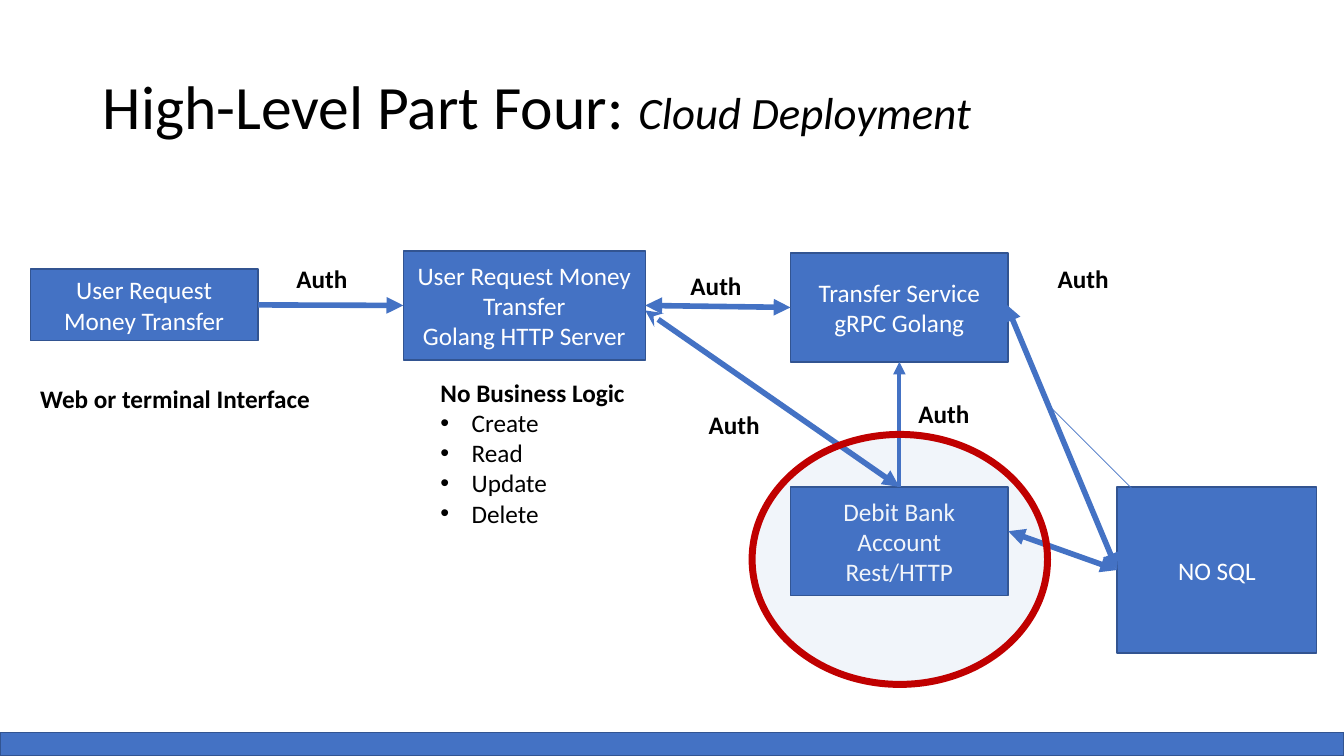
from dataclasses import dataclass
from typing import Any, Optional

import pptx
import pptx.dml.color
import pptx.enum.shapes
import pptx.enum.text
import pptx.oxml
import pptx.oxml.ns
import pptx.util

PX = 9144  # EMU in one px, 100 px to the inch
HEX = {"blue": "4472C4", "edge": "325491", "red": "C00000", "white": "FFFFFF", "black": "000000"}
BODY = {"name": "Calibri", "size": pptx.util.Pt(18), "bold": False, "italic": False}
BOLD = {**BODY, "bold": True}
HEAD = {**BODY, "size": pptx.util.Pt(44)}
SUB = {**BODY, "size": pptx.util.Pt(32), "italic": True}
KIND = pptx.enum.shapes.MSO_SHAPE
ALIGN = pptx.enum.text.PP_ALIGN


@dataclass
class Box:
    key: str
    x: int
    y: int
    w: int
    h: int
    lines: tuple[str, ...] = ()


@dataclass
class Label:
    x: int
    y: int
    w: int
    h: int
    text: str
    items: tuple[str, ...] = ()


@dataclass
class Link:
    start: tuple[int, int]
    end: tuple[int, int]
    width: float = 4
    head: Optional[str] = "triangle"
    tail: str = "triangle"
    tie: Optional[tuple[str, int]] = None  # box and side at the start
    join: Optional[tuple[str, int]] = None  # box and side at the end


BOXES = [
    Box("bar", 0, 727, 1333, 23),
    Box("user", 30, 267, 226, 71, ("User Request Money Transfer",)),
    Box("server", 400, 249, 240, 108, ("User Request Money Transfer", "Golang HTTP Server")),
    Box("transfer", 784, 251, 216, 108, ("Transfer Service", "gRPC Golang")),
    Box("debit", 784, 483, 216, 108, ("Debit Bank Account", "Rest/HTTP")),
    Box("store", 1108, 483, 198, 165, ("NO SQL",)),
]
LINKS = [
    Link((256, 302), (400, 304), head=None, tie=("user", 3), join=("server", 1)),
    Link((640, 304), (784, 306), tie=("server", 3), join=("transfer", 1)),
    Link((892, 483), (892, 360), 3, None, tie=("debit", 0), join=("transfer", 2)),
    Link((640, 308), (892, 483), head="stealth", join=("debit", 0)),
    Link((998, 302), (1108, 566), join=("store", 1)),
    Link((1039, 401), (1139, 501), 0.5, None),
    Link((1000, 527), (1108, 566), join=("store", 1)),
]
AUTHS = [(284, 256), (901, 390), (693, 401), (1039, 256), (675, 263)]
LABELS = [
    Label(30, 375, 290, 40, "Web or terminal Interface"),
    Label(427, 369, 205, 222, "No Business Logic", ("Create", "Read", "Update", "Delete")),
    *(Label(x, y, 71, 40, "Auth") for x, y in AUTHS),
]


def px(*sizes: int) -> list[int]:
    return [size * PX for size in sizes]


def tint(name: str) -> pptx.dml.color.RGBColor:
    return pptx.dml.color.RGBColor.from_string(HEX[name])


def write(para: Any, text: str, style: dict[str, Any], hue: str = "black") -> None:
    run = para.add_run()
    run.text = text
    for key, value in style.items():
        setattr(run.font, key, value)
    run.font.color.rgb = tint(hue)


def put(shapes: Any, kind: Any, box: Box, edge: str = "edge", width: float = 1) -> Any:
    shape = shapes.add_shape(kind, *px(box.x, box.y, box.w, box.h))
    shape.shadow.inherit = False
    shape.fill.solid()
    shape.fill.fore_color.rgb = tint("blue")
    shape.line.color.rgb = tint(edge)
    shape.line.width = pptx.util.Pt(width)
    frame = shape.text_frame
    for i, line in enumerate(box.lines):
        para = frame.add_paragraph() if i else frame.paragraphs[0]
        para.alignment = ALIGN.CENTER
        write(para, line, BODY, "white")
    return shape


def bullet(para: Any) -> None:
    props = para._p.get_or_add_pPr()
    props.set("marL", str(31 * PX))
    props.set("indent", str(-31 * PX))
    for tag, key, value in (("a:buFont", "typeface", "Arial"), ("a:buChar", "char", "•")):
        mark = pptx.oxml.ns.qn(tag)
        props.append(props.makeelement(mark, {key: value}))


def note(shapes: Any, label: Label) -> None:
    frame = shapes.add_textbox(*px(label.x, label.y, label.w, label.h)).text_frame
    frame.word_wrap = False
    frame.auto_size = pptx.enum.text.MSO_AUTO_SIZE.SHAPE_TO_FIT_TEXT
    write(frame.paragraphs[0], label.text, BOLD)
    for item in label.items:
        para = frame.add_paragraph()
        bullet(para)
        write(para, item, BODY)


def join(shapes: Any, link: Link, made: dict[str, Any]) -> None:
    kind = pptx.enum.shapes.MSO_CONNECTOR.STRAIGHT
    line = shapes.add_connector(kind, *px(*link.start, *link.end))
    if link.tie:
        line.begin_connect(made[link.tie[0]], link.tie[1])
    if link.join:
        line.end_connect(made[link.join[0]], link.join[1])
    line.line.color.rgb = tint("blue")
    line.line.width = pptx.util.Pt(link.width)
    props = line._element.spPr
    stroke = line.line._get_or_add_ln()
    for tag, tip in (("a:headEnd", link.head), ("a:tailEnd", link.tail)):
        if tip:
            stroke.append(stroke.makeelement(pptx.oxml.ns.qn(tag), {"type": tip}))
    props.append(props.makeelement(pptx.oxml.ns.qn("a:effectLst"), {}))


def main() -> None:
    deck = pptx.Presentation()
    deck.slide_width, deck.slide_height = px(1333, 750)
    shapes = deck.slides.add_slide(deck.slide_layouts[6]).shapes

    # Title
    title = shapes.add_textbox(*px(92, 36, 1150, 145)).text_frame
    title.word_wrap = True
    title.vertical_anchor = pptx.enum.text.MSO_ANCHOR.MIDDLE
    para = title.paragraphs[0]
    para.line_spacing = 0.9
    write(para, "High-Level Part Four: ", HEAD)
    write(para, "Cloud Deployment", SUB)

    # Services, links and labels
    made = {box.key: put(shapes, KIND.RECTANGLE, box) for box in BOXES}
    for link in LINKS:
        join(shapes, link, made)
    for label in LABELS:
        note(shapes, label)

    # Ring round the debit service, with a faint fill
    ring = put(shapes, KIND.OVAL, Box("ring", 746, 431, 293, 248), "red", 5)
    hue = ring._element.spPr.find(".//" + pptx.oxml.ns.qn("a:srgbClr"))
    hue.append(hue.makeelement(pptx.oxml.ns.qn("a:alpha"), {"val": "7000"}))

    deck.save("out.pptx")


if __name__ == "__main__":
    main()
